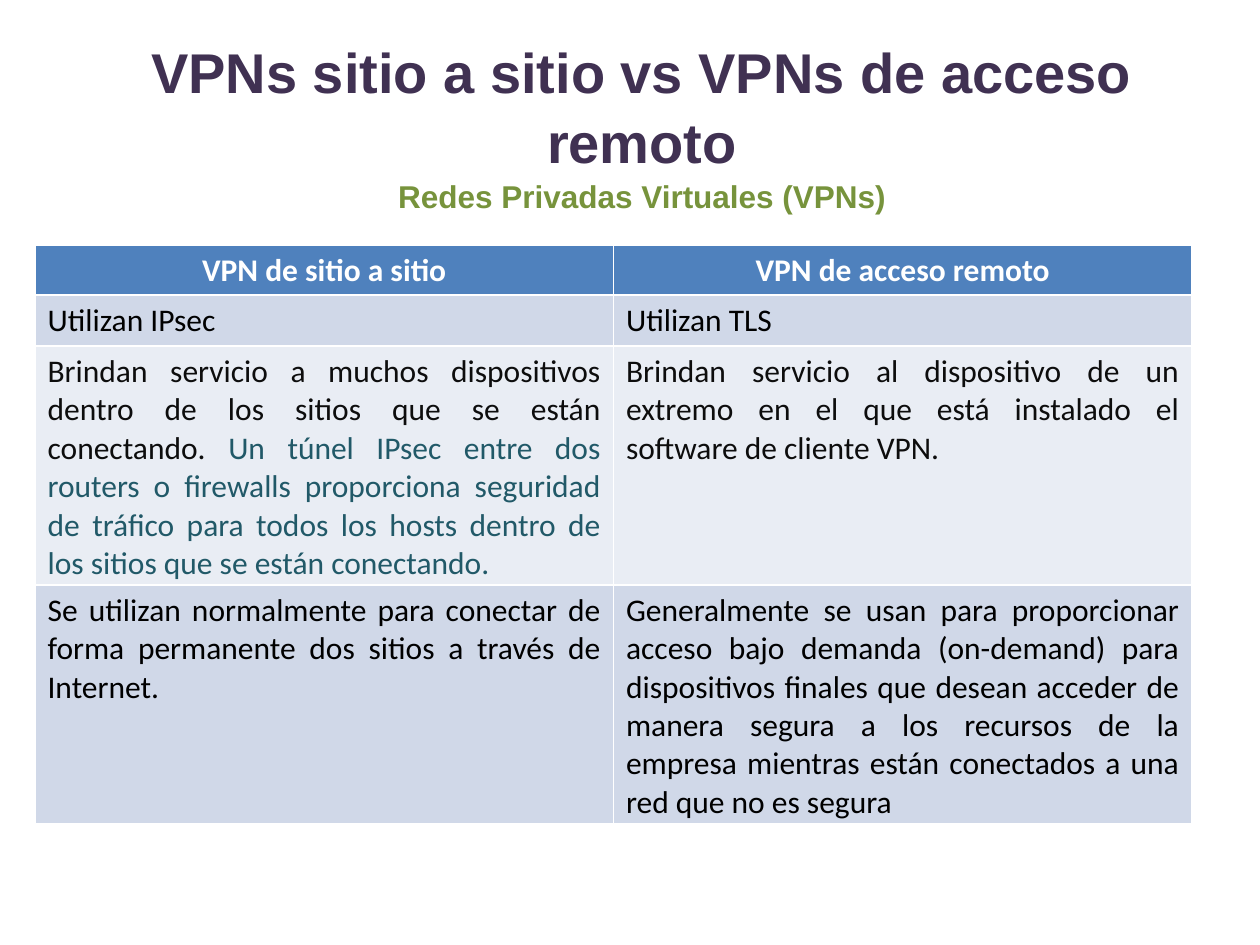
"""Build a slide comparing site-to-site and remote-access VPNs in a table."""
import pptx
import pptx.dml.color
import pptx.enum.text
import pptx.util

THEME = {
    "title": "403152", "subtitle": "77933C", "white": "FFFFFF", "black": "000000",
    "soft": "0D0D0D", "teal": "215968", "header": "4F81BD", "band": "D0D8E8",
    "light": "E9EDF4", "heading_font": "Arial", "body_font": "Calibri",
    "title_size": 32, "body_size": 18,
}
ALIGN = pptx.enum.text.PP_ALIGN


def px(n):
    return pptx.util.Emu(round(n * 914400 / 126))


def add_text(p, text, color, font="body_font", size="body_size", bold=False, align=ALIGN.JUSTIFY):
    p.alignment = align
    r = p.add_run()
    r.text = text
    r.font.name = THEME[font]
    r.font.size = pptx.util.Pt(THEME[size])
    r.font.bold = bold
    r.font.color.rgb = pptx.dml.color.RGBColor.from_string(THEME[color])


prs = pptx.Presentation()
prs.slide_width, prs.slide_height = px(1260), px(945)
s = prs.slides.add_slide(prs.slide_layouts[6])

tf = s.shapes.add_textbox(px(123), px(25), px(1038), px(118)).text_frame
tf.word_wrap = True
tf.margin_top = px(9)
headings = [
    ("VPNs sitio a sitio vs VPNs de acceso remoto", "title", "title_size"),
    ("Redes Privadas Virtuales (VPNs)", "subtitle", "body_size"),
]
for i, (text, color, size) in enumerate(headings):
    p = tf.add_paragraph() if i else tf.paragraphs[0]
    p.line_spacing = 1.05
    add_text(p, text, color, font="heading_font", size=size, bold=True, align=ALIGN.CENTER)

rows = [
    (50, "header", [
        [("VPN de sitio a sitio", "white")],
        [("VPN de acceso remoto", "white")],
    ]),
    (51, "band", [
        [("Utilizan IPsec", "black")],
        [("Utilizan TLS", "black")],
    ]),
    (239, "light", [
        [("Brindan servicio a muchos dispositivos dentro de los sitios que se están conectando. ", "soft"),
         ("Un túnel IPsec entre dos routers o firewalls proporciona seguridad de tráfico para todos "
          "los hosts dentro de los sitios que se están conectando.", "teal")],
        [("Brindan servicio al dispositivo de un extremo en el que está instalado el software "
          "de cliente VPN.", "soft")],
    ]),
    (239, "band", [
        [("Se utilizan normalmente para conectar de forma permanente dos sitios a través de Internet.",
          "black")],
        [("Generalmente se usan para proporcionar acceso bajo demanda (on-demand) para dispositivos "
          "finales que desean acceder de manera segura a los recursos de la empresa mientras están "
          "conectados a una red que no es segura", "black")],
    ]),
]
height = sum(row[0] for row in rows)
table = s.shapes.add_table(len(rows), 2, px(35), px(245), px(1157), px(height)).table
for i, (row_height, fill, cells) in enumerate(rows):
    table.rows[i].height = px(row_height)
    for j, runs in enumerate(cells):
        cell = table.cell(i, j)
        cell.margin_bottom = 0
        cell.fill.solid()
        cell.fill.fore_color.rgb = pptx.dml.color.RGBColor.from_string(THEME[fill])
        for text, color in runs:
            add_text(cell.text_frame.paragraphs[0], text, color, bold=i == 0,
                     align=ALIGN.JUSTIFY if i else ALIGN.CENTER)

prs.save("out.pptx")
